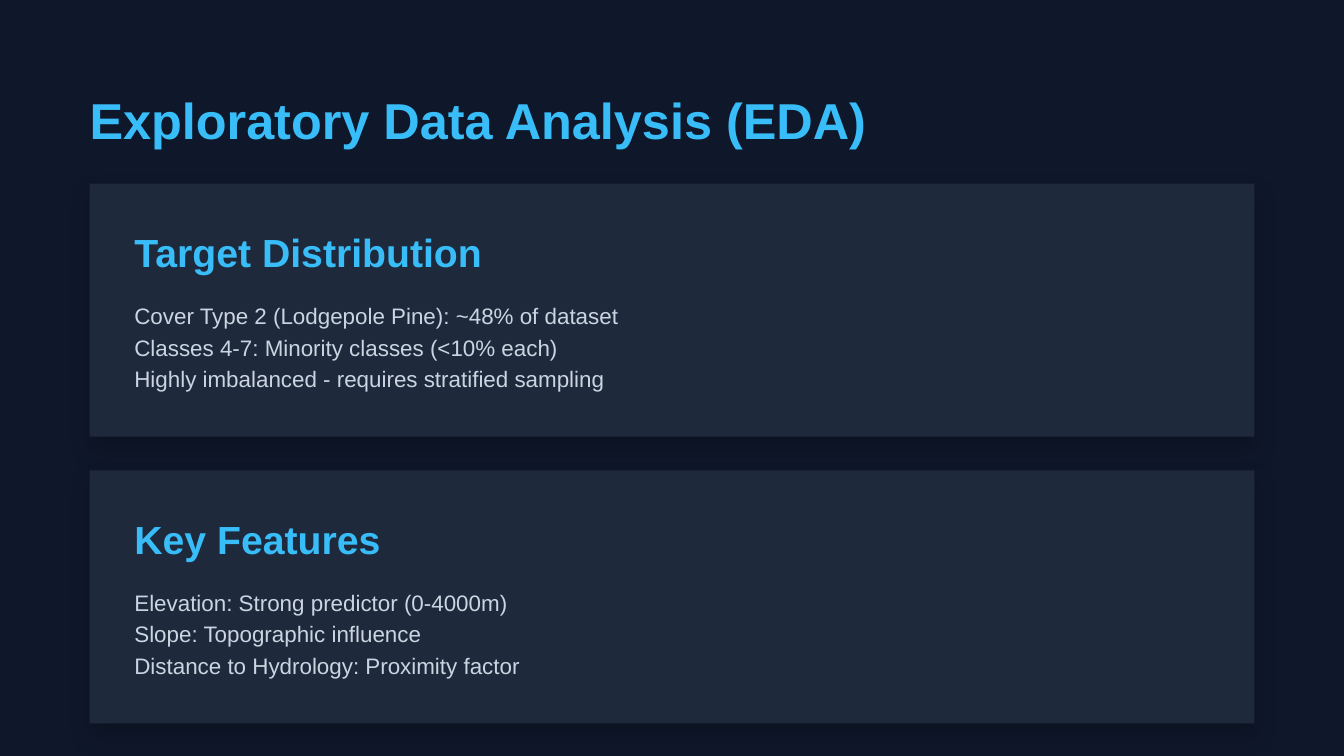
from lxml.etree import fromstring
from pptx import Presentation
from pptx.dml.color import RGBColor
from pptx.enum.shapes import MSO_SHAPE
from pptx.util import Pt

# Content
TITLE = "Exploratory Data Analysis (EDA)"
CARDS = [
    ("Target Distribution", [
        "Cover Type 2 (Lodgepole Pine): ~48% of dataset",
        "Classes 4-7: Minority classes (<10% each)",
        "Highly imbalanced - requires stratified sampling",
    ]),
    ("Key Features", [
        "Elevation: Strong predictor (0-4000m)",
        "Slope: Topographic influence",
        "Distance to Hydrology: Proximity factor",
    ]),
]

# Style: size, line height, colour, bold
COLORS = {"background": "0F172A", "card": "1E293B", "accent": "38BDF8",
          "body": "CBD5E1", "shadow": "000000"}
TITLE_STYLE = (27, 32.4, "accent", True)
HEADING_STYLE = (21, 25.2, "accent", True)
BODY_STYLE = (12, 16.8, "body", False)

# Layout in points
MARGIN = 48
CARD_WIDTH = 624
CARDS_TOP = 98.4
CARD_GAP = 18
PADDING = 24
HEADING_GAP = 12
TEXT_WIDTH = 587.5

SHADOW_XML = f"""
<a:effectLst xmlns:a="http://schemas.openxmlformats.org/drawingml/2006/main">
  <a:outerShdw blurRad="{Pt(12)}" dist="{Pt(6)}" dir="5400000" algn="ctr" rotWithShape="0">
    <a:srgbClr val="{COLORS['shadow']}"><a:alpha val="20000"/></a:srgbClr>
  </a:outerShdw>
</a:effectLst>"""


def color(name):
    return RGBColor.from_string(COLORS[name])


def add_text(slide, text, left, top, width, style):
    """Add one line of text and return the y position below it."""
    size, line_height, color_name, bold = style
    box = slide.shapes.add_textbox(Pt(left), Pt(top), Pt(width), Pt(line_height))
    frame = box.text_frame
    frame.word_wrap = True
    frame.margin_left = frame.margin_right = 0
    frame.margin_top = frame.margin_bottom = 0
    paragraph = frame.paragraphs[0]
    paragraph.text = text
    paragraph.line_spacing = Pt(line_height)
    paragraph.font.name = "Arial"
    paragraph.font.size = Pt(size)
    paragraph.font.bold = bold
    paragraph.font.color.rgb = color(color_name)
    return top + line_height


def add_card(slide, top, height):
    shape = slide.shapes.add_shape(
        MSO_SHAPE.RECTANGLE, Pt(MARGIN), Pt(top), Pt(CARD_WIDTH), Pt(height))
    shape.fill.solid()
    shape.fill.fore_color.rgb = color("card")
    shape.line.fill.background()
    shape._element.spPr.append(fromstring(SHADOW_XML))


def main():
    presentation = Presentation()
    presentation.slide_width = Pt(720)
    presentation.slide_height = Pt(405)
    slide = presentation.slides.add_slide(presentation.slide_layouts[6])
    slide.background.fill.solid()
    slide.background.fill.fore_color.rgb = color("background")

    # Card positions follow from their text
    placed_cards = []
    top = CARDS_TOP
    for heading, lines in CARDS:
        height = (2 * PADDING + HEADING_STYLE[1] + HEADING_GAP
                  + len(lines) * BODY_STYLE[1])
        placed_cards.append((top, height, heading, lines))
        top += height + CARD_GAP

    # Card panels behind all text
    for top, height, _, _ in placed_cards:
        add_card(slide, top, height)

    # Title
    add_text(slide, TITLE, MARGIN, MARGIN, 636.5, TITLE_STYLE)

    # Card text
    text_left = MARGIN + PADDING
    for top, _, heading, lines in placed_cards:
        y = add_text(slide, heading, text_left, top + PADDING, TEXT_WIDTH,
                     HEADING_STYLE) + HEADING_GAP
        for line in lines:
            y = add_text(slide, line, text_left, y, TEXT_WIDTH, BODY_STYLE)

    presentation.save("out.pptx")


if __name__ == "__main__":
    main()
